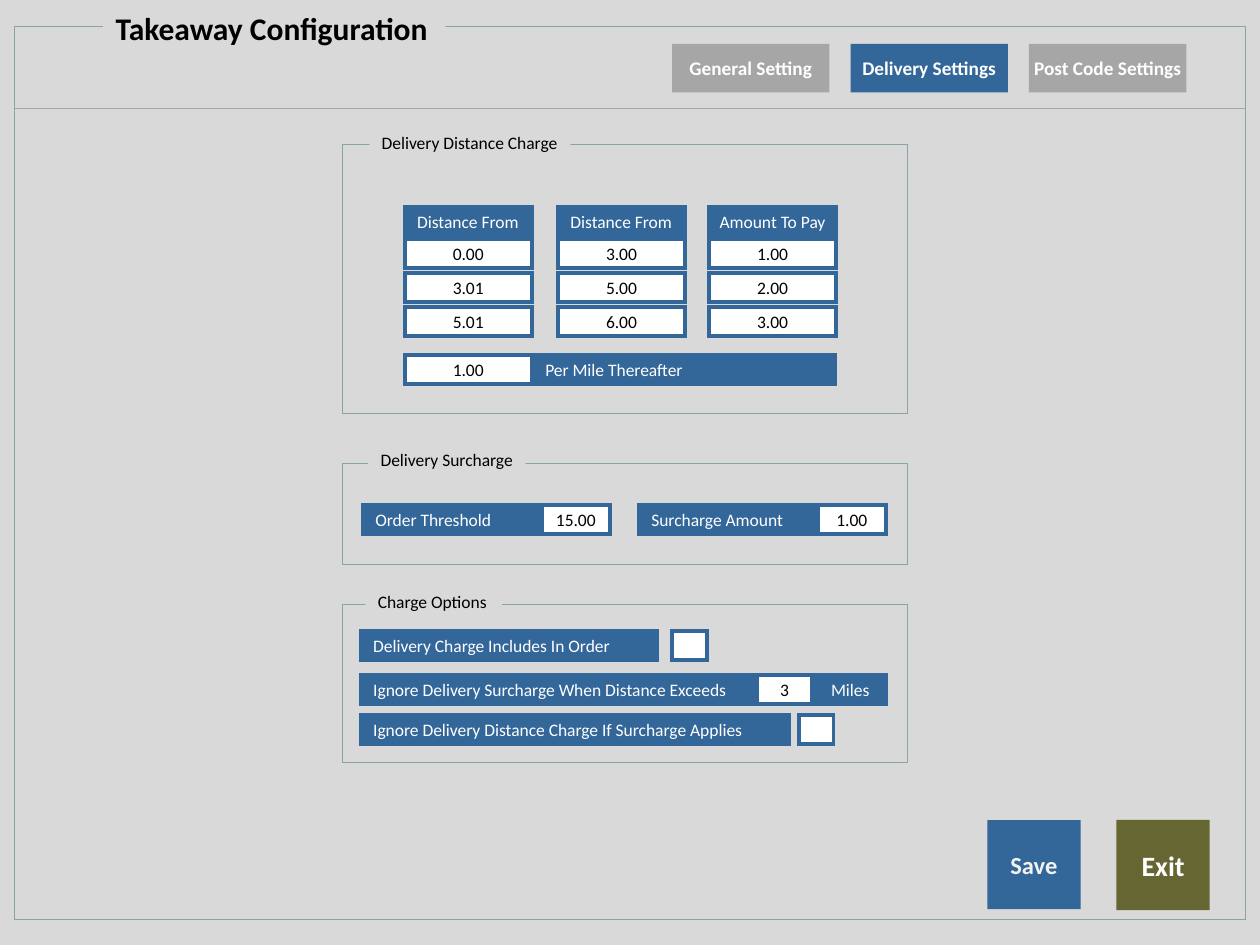
from lxml.etree import SubElement
from pptx import Presentation
from pptx.dml.color import RGBColor
from pptx.enum.shapes import MSO_CONNECTOR, MSO_SHAPE
from pptx.enum.text import MSO_ANCHOR, PP_ALIGN
from pptx.oxml.ns import qn
from pptx.util import Pt

BLUE, GREY, OLIVE = "336699", "A6A6A6", "666633"
BACKGROUND, FRAME = "D9D9D9", "89A4A7"
WHITE, PALE, BLACK = "FFFFFF", "F2F2F2", "000000"
FIELD_HEIGHT = 16.6
PANEL_LEFT, PANEL_WIDTH = 195.8, 323
OPTION_LEFT = 206.2


def colour(code):
    """Turn a hex string into a colour."""
    return RGBColor.from_string(code)


def add_box(page, left, top, width, height, fill=None, line=None, weight=2.25):
    """Draw a rectangle with an optional fill and a sharp-cornered outline."""
    box = page.shapes.add_shape(
        MSO_SHAPE.RECTANGLE, Pt(left), Pt(top), Pt(width), Pt(height))
    box.shadow.inherit = False
    if fill:
        box.fill.solid()
        box.fill.fore_color.rgb = colour(fill)
    else:
        box.fill.background()
    if line:
        box.line.color.rgb = colour(line)
        box.line.width = Pt(weight)
        SubElement(box.get_or_add_ln(), qn("a:miter"), lim="800000")
    else:
        box.line.fill.background()
    return box


def write(box, text, size, text_colour, bold=False, align=PP_ALIGN.CENTER):
    """Put one unwrapped line of text in a box."""
    frame = box.text_frame
    frame.word_wrap = False
    frame.vertical_anchor = MSO_ANCHOR.MIDDLE
    paragraph = frame.paragraphs[0]
    paragraph.text = text
    paragraph.alignment = align
    font = paragraph.font
    font.name, font.size, font.bold = "Calibri", Pt(size), bold
    font.color.rgb = colour(text_colour)


def add_button(page, left, top, width, height, text, fill, size, text_colour=WHITE):
    """Draw a flat button with a bold caption."""
    write(add_box(page, left, top, width, height, fill), text, size, text_colour, True)


def add_label(page, left, top, width, text, align=PP_ALIGN.LEFT):
    """Draw a blue bar with a white caption."""
    box = add_box(page, left, top, width, FIELD_HEIGHT, BLUE, BLUE)
    write(box, text, 10, WHITE, align=align)


def add_field(page, left, top, width, value=""):
    """Draw a white entry field, or a check box when it has no value."""
    box = add_box(page, left, top, width, FIELD_HEIGHT, WHITE, BLUE)
    if value:
        write(box, value, 10, BLACK)


def add_legend(page, left, top, width, height, text, size, bold=False):
    """Draw a caption that interrupts the outline of a panel."""
    box = add_box(page, left, top, width, height, BACKGROUND)
    write(box, text, size, BLACK, bold, PP_ALIGN.LEFT)
    box.text_frame.vertical_anchor = MSO_ANCHOR.TOP


def add_panel(page, top, height, legend_left, legend_top, legend_width, text):
    """Draw an outlined panel with its legend."""
    add_box(page, PANEL_LEFT, top, PANEL_WIDTH, height, line=FRAME, weight=0.5)
    add_legend(page, legend_left, legend_top, legend_width, 19.4, text, 10)


def add_rule(page, left, right, top):
    """Draw the horizontal rule under the header."""
    rule = page.shapes.add_connector(
        MSO_CONNECTOR.STRAIGHT, Pt(left), Pt(top), Pt(right), Pt(top))
    rule.line.color.rgb = colour(GREY)
    rule.line.width = Pt(0.75)
    SubElement(rule._element.spPr, qn("a:effectLst"))


def add_header(page):
    """Draw the window frame, the title and the tabs."""
    add_box(page, 8.4, 15.1, 703.2, 510.2, line=FRAME, weight=0.5)
    add_legend(page, 59, 1.4, 195.5, 29, "Takeaway Configuration", 18, True)
    add_rule(page, 8.4, 711.6, 61.9)
    tabs = [("General Setting", GREY), ("Delivery Settings", BLUE),
            ("Post Code Settings", GREY)]
    for index, (text, fill) in enumerate(tabs):
        add_button(page, 384 + 102 * index, 25, 90, 27.8, text, fill, 11)


def add_distance_charge(page):
    """Draw the panel of charges by distance."""
    add_panel(page, 82.6, 153.5, 211, 71.8, 115, "Delivery Distance Charge")
    columns = [
        (231.3, "Distance From", PP_ALIGN.LEFT, ["0.00", "3.01", "5.01"]),
        (318.9, "Distance From", PP_ALIGN.LEFT, ["3.00", "5.00", "6.00"]),
        (405.2, "Amount To Pay", PP_ALIGN.CENTER, ["1.00", "2.00", "3.00"]),
    ]
    for left, heading, align, values in columns:
        add_label(page, left, 118.2, 72.5, heading, align)
        for row, value in enumerate(values):
            add_field(page, left, 136.6 + 19.4 * row, 72.5, value)
    add_field(page, 231.3, 202.9, 72.5, "1.00")
    add_label(page, 304.5, 202.9, 172.6, "Per Mile Thereafter")


def add_surcharge(page):
    """Draw the panel of surcharge amounts."""
    add_panel(page, 264.7, 57.8, 210.4, 253, 90, "Delivery Surcharge")
    for left, text, value in [(207.4, "Order Threshold", "15.00"),
                              (365.1, "Surcharge Amount", "1.00")]:
        add_field(page, left + 102.2, 288.4, 38.9, value)
        add_label(page, left, 288.4, 100.4, text)


def add_options(page):
    """Draw the panel of charge options."""
    add_panel(page, 345.2, 90.4, 208.8, 334, 78, "Charge Options")
    add_label(page, OPTION_LEFT, 360.8, 169.2, "Delivery Charge Includes In Order")
    add_field(page, 384.2, 360.5, 19.8)
    add_label(page, OPTION_LEFT, 385.8, 226,
              "Ignore Delivery Surcharge When Distance Exceeds")
    add_field(page, 432.6, 385.8, 31.4, "3")
    add_label(page, 465.6, 385.8, 40.6, "Miles", PP_ALIGN.CENTER)
    add_label(page, OPTION_LEFT, 408.6, 244.8,
              "Ignore Delivery Distance Charge If Surcharge Applies")
    add_field(page, 456.5, 408.8, 19.8)


def main():
    """Build the configuration slide."""
    deck = Presentation()
    deck.slide_width, deck.slide_height = Pt(720), Pt(540)
    page = deck.slides.add_slide(deck.slide_layouts[6])
    add_box(page, 0, 0, 720, 540, BACKGROUND)
    add_header(page)
    add_distance_charge(page)
    add_surcharge(page)
    add_options(page)
    add_button(page, 564.2, 468.6, 53.3, 51, "Save", BLUE, 14, PALE)
    add_button(page, 638, 468.6, 53.3, 51.6, "Exit", OLIVE, 16)
    deck.save("out.pptx")


if __name__ == "__main__":
    main()
